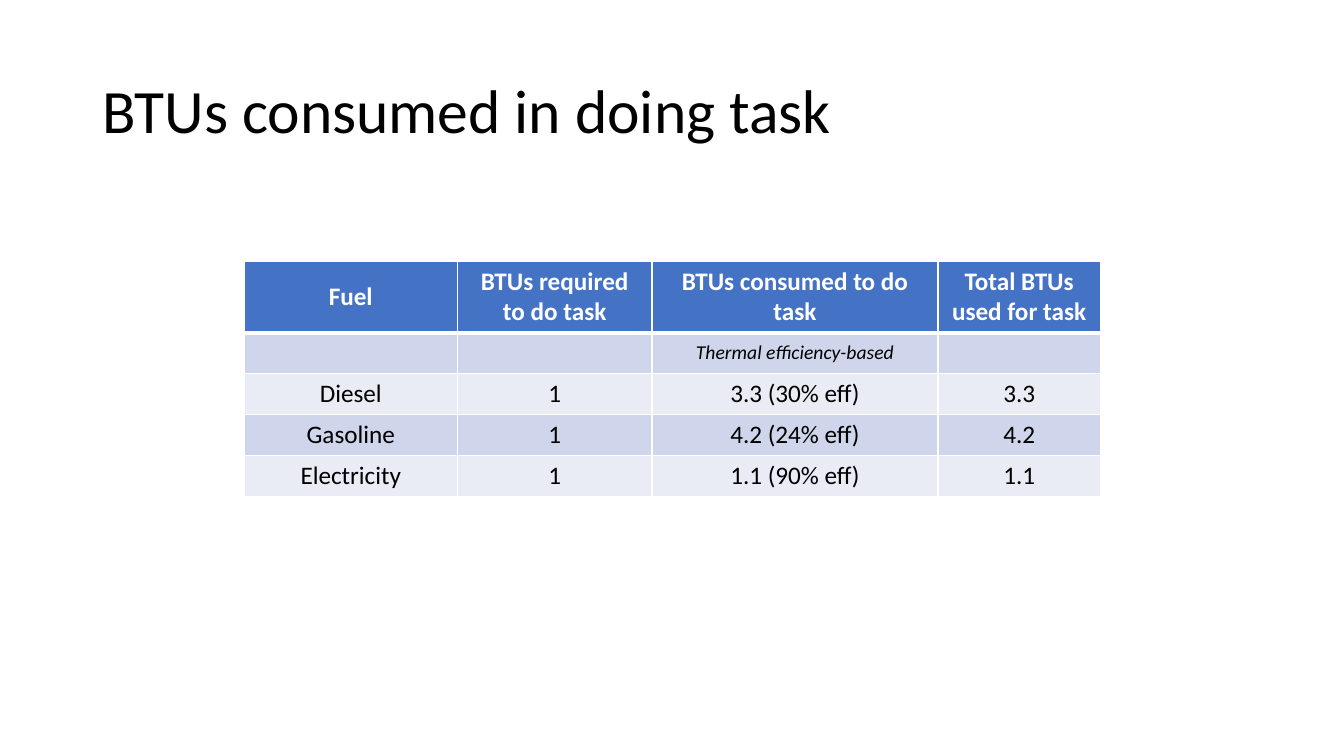
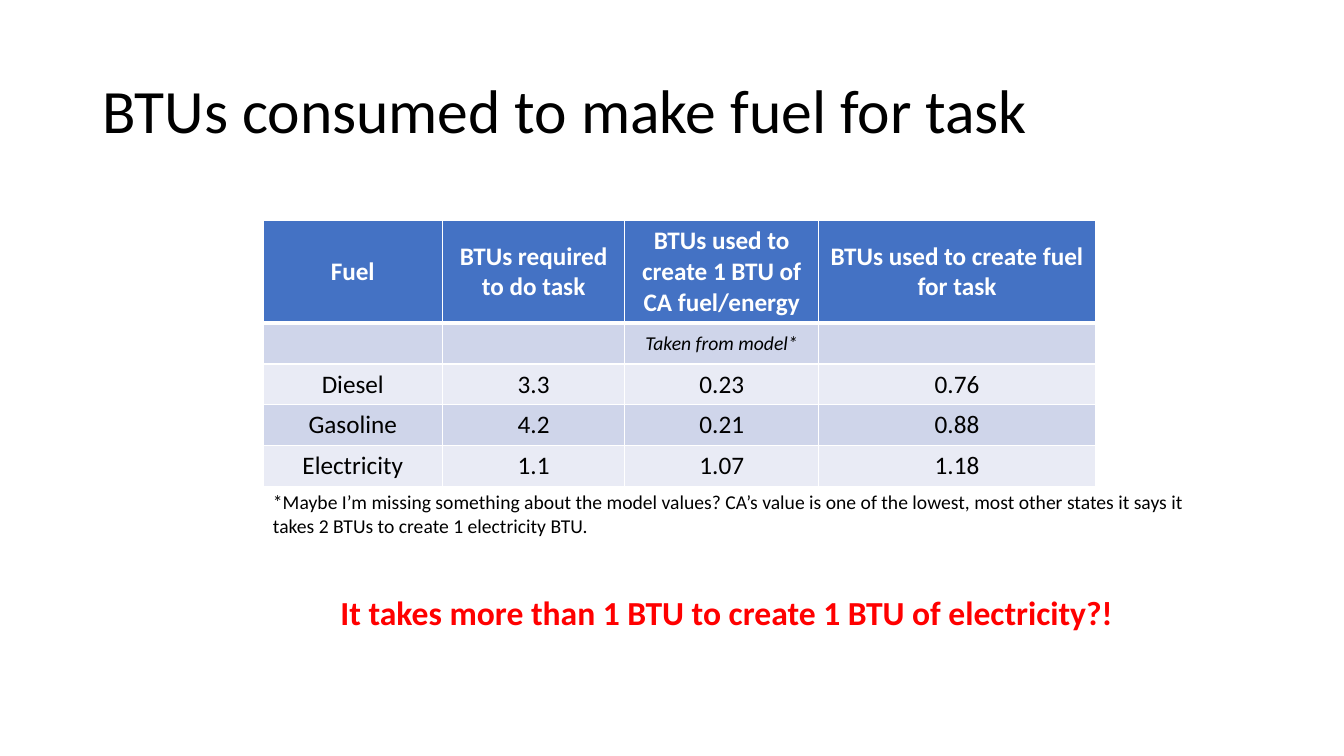
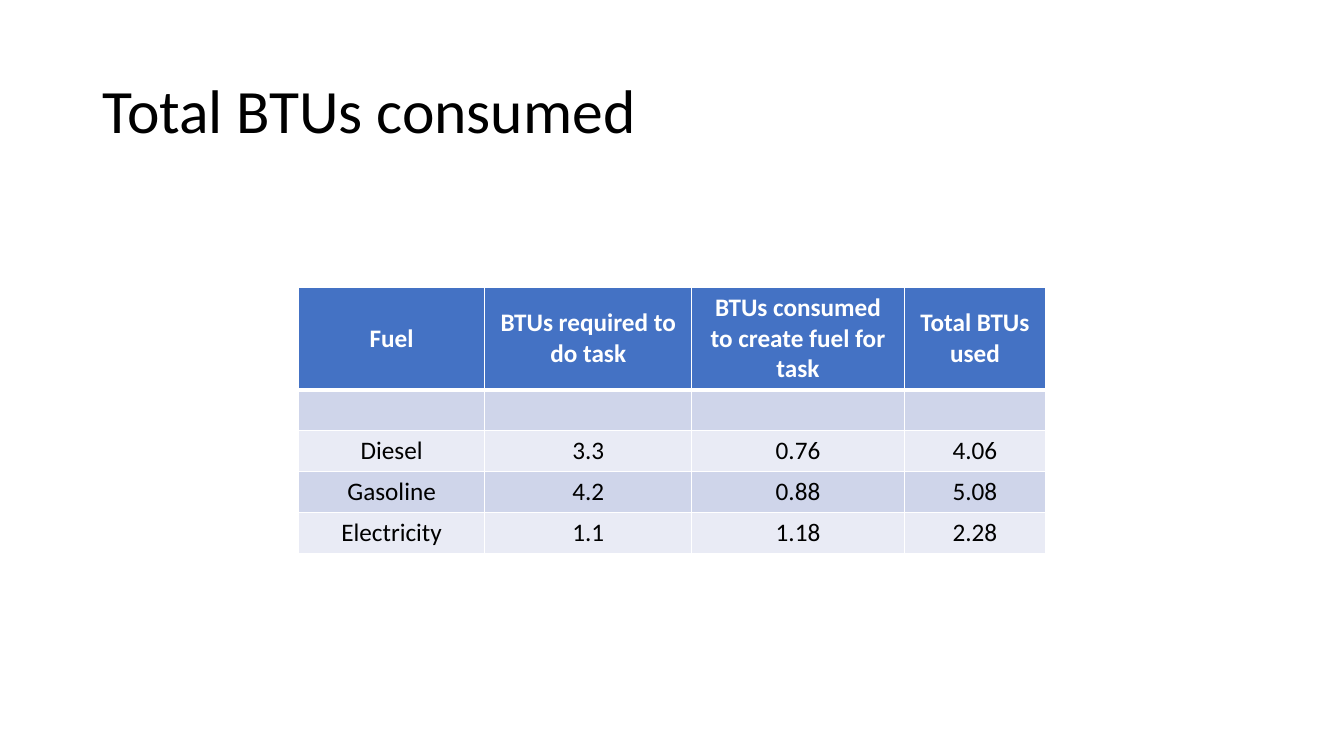
from dataclasses import dataclass

from lxml.etree import SubElement
from pptx import Presentation
from pptx.dml.color import RGBColor
from pptx.enum.text import MSO_ANCHOR, PP_ALIGN
from pptx.oxml.ns import qn
from pptx.util import Cm, Pt


@dataclass(frozen=True)
class Theme:
    font: str = "Calibri"
    ink: str = "000000"
    white: str = "FFFFFF"
    alert: str = "FF0000"
    header: str = "4472C4"
    bands: tuple = ("CFD5EA", "E9EBF5")
    title_size: int = 44
    alert_size: int = 24
    body_size: int = 18
    note_size: int = 14
    rule: int = 1
    header_rule: int = 3
    title_box: tuple = (2.33, 1.01, 29.21, 3.68)
    row_height: float = 1.03


T = Theme()


def write(tf, text, color=T.ink, align=PP_ALIGN.LEFT, **fmt):
    """Put one formatted run in the first paragraph and return the paragraph."""
    p = tf.paragraphs[0]
    p.alignment = align
    r = p.add_run()
    r.text = text
    r.font.color.rgb = RGBColor.from_string(color)
    for name, value in {"name": T.font, **fmt}.items():
        setattr(r.font, name, value)
    return p


def add_title(slide, text):
    sp = slide.shapes.title
    for name, value in zip(("left", "top", "width", "height"), T.title_box):
        setattr(sp, name, Cm(value))
    sp.text_frame.vertical_anchor = MSO_ANCHOR.MIDDLE
    write(sp.text_frame, text, size=Pt(T.title_size)).line_spacing = 0.9


def set_borders(cell, **widths):
    """Draw white rules on all four sides; widths overrides a side in points."""
    tc_pr = cell._tc.get_or_add_tcPr()
    for side in "LRTB":
        width = Pt(widths.get(side, T.rule))
        ln = SubElement(tc_pr, qn(f"a:ln{side}"), w=str(width))
        fill = SubElement(ln, qn("a:solidFill"))
        SubElement(fill, qn("a:srgbClr"), val=T.white)


def add_fuel_table(slide, left, top, col_widths, header_height, rows):
    """Header row, a row of remarks, then one row per fuel."""
    heights = [header_height] + [T.row_height] * (len(rows) - 1)
    table = slide.shapes.add_table(
        len(rows), len(col_widths), Cm(left), Cm(top),
        Cm(sum(col_widths)), Cm(sum(heights))).table
    for column, width in zip(table.columns, col_widths):
        column.width = Cm(width)

    styles = {0: dict(color=T.white, bold=True, size=Pt(T.body_size)),
              1: dict(italic=True, bold=False, size=Pt(T.note_size))}
    body = dict(bold=False, size=Pt(T.body_size))
    rules = {0: {"B": T.header_rule}, 1: {"T": T.header_rule}}

    for i, (values, height) in enumerate(zip(rows, heights)):
        table.rows[i].height = Cm(height)
        fill = T.bands[(i - 1) % 2] if i else T.header
        for cell, value in zip(table.rows[i].cells, values):
            set_borders(cell, **rules.get(i, {}))
            cell.fill.solid()
            cell.fill.fore_color.rgb = RGBColor.from_string(fill)
            cell.vertical_anchor = MSO_ANCHOR.MIDDLE
            if value:
                write(cell.text_frame, value, align=PP_ALIGN.CENTER,
                      **styles.get(i, body))


def add_text(slide, box, text, wrap=True, **fmt):
    tf = slide.shapes.add_textbox(*map(Cm, box)).text_frame
    tf.word_wrap = wrap
    write(tf, text, **fmt)


def add_table_slide(prs, title, **table):
    slide = prs.slides.add_slide(prs.slide_layouts[5])
    add_title(slide, title)
    add_fuel_table(slide, **table)
    return slide


prs = Presentation()
prs.slide_width, prs.slide_height = Cm(33.87), Cm(19.05)

# Energy used by the task itself
add_table_slide(
    prs, "BTUs consumed in doing task",
    left=6.15, top=6.58, col_widths=(5.38, 4.9, 7.21, 4.09), header_height=1.78,
    rows=[
        ("Fuel", "BTUs required to do task", "BTUs consumed to do task",
         "Total BTUs used for task"),
        ("", "", "Thermal efficiency-based", ""),
        ("Diesel", "1", "3.3 (30% eff)", "3.3"),
        ("Gasoline", "1", "4.2 (24% eff)", "4.2"),
        ("Electricity", "1", "1.1 (90% eff)", "1.1"),
    ])

# Energy used to make the fuel, with footnote and remark
fuel_slide = add_table_slide(
    prs, "BTUs consumed to make fuel for task",
    left=6.63, top=5.56, col_widths=(4.52, 4.6, 4.88, 6.98), header_height=2.54,
    rows=[
        ("Fuel", "BTUs required to do task",
         "BTUs used to create 1 BTU of CA fuel/energy",
         "BTUs used to create fuel for task"),
        ("", "", "Taken from model*", ""),
        ("Diesel", "3.3", "0.23", "0.76"),
        ("Gasoline", "4.2", "0.21", "0.88"),
        ("Electricity", "1.1", "1.07", "1.18"),
    ])
add_text(fuel_slide, (8.33, 14.78, 20.17, 2.31),
         "It takes more than 1 BTU to create 1 BTU of electricity?!",
         wrap=False, color=T.alert, bold=True, size=Pt(T.alert_size))
add_text(fuel_slide, (6.63, 12.22, 24.41, 1.45),
         "*Maybe I’m missing something about the model values? CA’s value is "
         "one of the lowest, most other states it says it takes 2 BTUs to "
         "create 1 electricity BTU.", size=Pt(T.note_size))

# Sum of both
add_table_slide(
    prs, "Total BTUs consumed",
    left=7.52, top=7.24, col_widths=(4.7, 5.21, 5.36, 3.56), header_height=2.54,
    rows=[
        ("Fuel", "BTUs required to do task",
         "BTUs consumed to create fuel for task", "Total BTUs used"),
        ("", "", "", ""),
        ("Diesel", "3.3", "0.76", "4.06"),
        ("Gasoline", "4.2", "0.88", "5.08"),
        ("Electricity", "1.1", "1.18", "2.28"),
    ])

prs.save("out.pptx")
